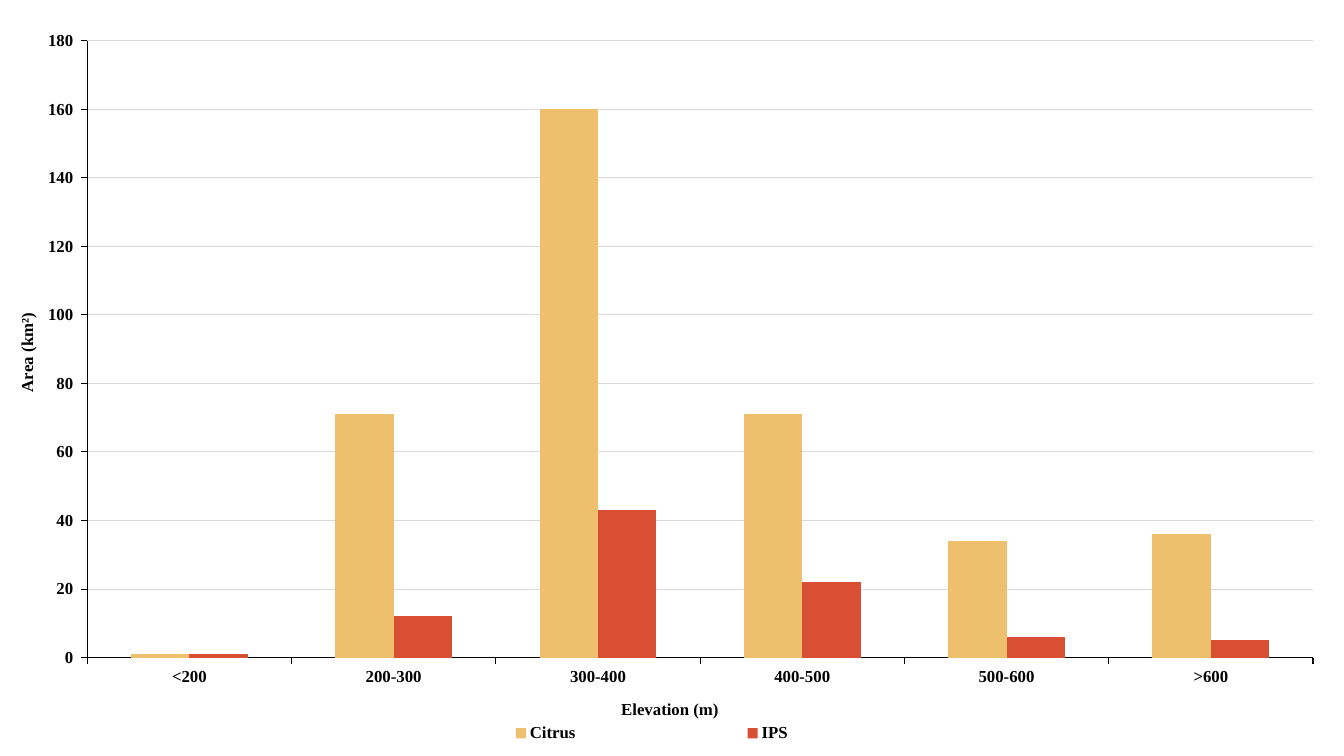
"""Build a slide with a column chart of citrus and IPS area by elevation."""
from lxml import etree
from pptx import Presentation
from pptx.chart.data import CategoryChartData
from pptx.dml.color import RGBColor
from pptx.enum.chart import XL_CHART_TYPE as ChartType
from pptx.enum.chart import XL_LEGEND_POSITION as LegendPosition
from pptx.enum.chart import XL_TICK_MARK as TickMark
from pptx.oxml.ns import qn
from pptx.util import Pt

BLACK = RGBColor(0x00, 0x00, 0x00)
GRID = RGBColor(0xD9, 0xD9, 0xD9)
CITRUS = RGBColor(0xEE, 0xBF, 0x6D)
IPS = RGBColor(0xD9, 0x4F, 0x33)
FONT = "Times New Roman"


def style_font(font, size, bold):
    font.name = FONT
    font.size = Pt(size)
    font.bold = bold
    font.color.rgb = BLACK


def place(element, index, **settings):
    for old in element.findall(qn("c:layout")):
        element.remove(old)
    layout = etree.Element(qn("c:layout"))
    manual = etree.SubElement(layout, qn("c:manualLayout"))
    for name, value in settings.items():
        etree.SubElement(manual, qn(f"c:{name}")).set("val", str(value))
    element.insert(index, layout)


deck = Presentation()
deck.slide_width, deck.slide_height = Pt(960), Pt(540)
slide = deck.slides.add_slide(deck.slide_layouts[6])

areas = CategoryChartData()
areas.categories = ["<200", "200-300", "300-400", "400-500", "500-600", ">600"]
areas.add_series("Citrus", [1, 71, 160, 71, 34, 36])
areas.add_series("IPS", [1, 12, 43, 22, 6, 5])
frame = slide.shapes.add_chart(
    ChartType.COLUMN_CLUSTERED, 0, 0, deck.slide_width, deck.slide_height, areas
)
chart = frame.chart
chart.has_title = False
style_font(chart.font, 10, False)

plot = chart.plots[0]
plot.gap_width = 150
plot.overlap = 0
plot.vary_by_categories = False
for series, color in zip(plot.series, [CITRUS, IPS]):
    series.format.fill.solid()
    series.format.fill.fore_color.rgb = color
    series.invert_if_negative = False

elevation_axis, area_axis = chart.category_axis, chart.value_axis
for axis, title, left, top, rotation in [
    (elevation_axis, "Elevation (m)", 0.46, 0.92, 0),
    (area_axis, "Area (km²)", 0.01, 0.41, -5400000),
]:
    axis.major_tick_mark = TickMark.OUTSIDE
    axis.minor_tick_mark = TickMark.NONE
    axis.format.line.color.rgb = BLACK
    axis.format.line.width = Pt(0.75)
    style_font(axis.tick_labels.font, 12, True)
    text = axis.axis_title.text_frame
    text.text = title
    style_font(text.paragraphs[0].font, 12, True)
    text._txBody.find(qn("a:bodyPr")).set("rot", str(rotation))
    place(axis.axis_title._element, 1, xMode="edge", yMode="edge", x=left, y=top)

elevation_axis.has_major_gridlines = False
area_axis.has_major_gridlines = True
area_axis.major_gridlines.format.line.color.rgb = GRID
area_axis.major_gridlines.format.line.width = Pt(0.75)
area_axis.minimum_scale, area_axis.maximum_scale = 0, 180
area_axis.major_unit = 20
area_axis.tick_labels.number_format = "0_ "
area_axis.tick_labels.number_format_is_linked = False

chart.has_legend = True
legend = chart.legend
legend.position = LegendPosition.BOTTOM
legend.include_in_layout = False
style_font(legend.font, 12, True)
place(legend._element, 1, xMode="edge", yMode="edge", x=0.26, y=0.95, w=0.45, h=0.04)
place(
    chart._chartSpace.chart.plotArea, 0, layoutTarget="inner",
    xMode="edge", yMode="edge", x=0.065, y=0.054, w=0.912, h=0.816,
)

deck.save("out.pptx")
